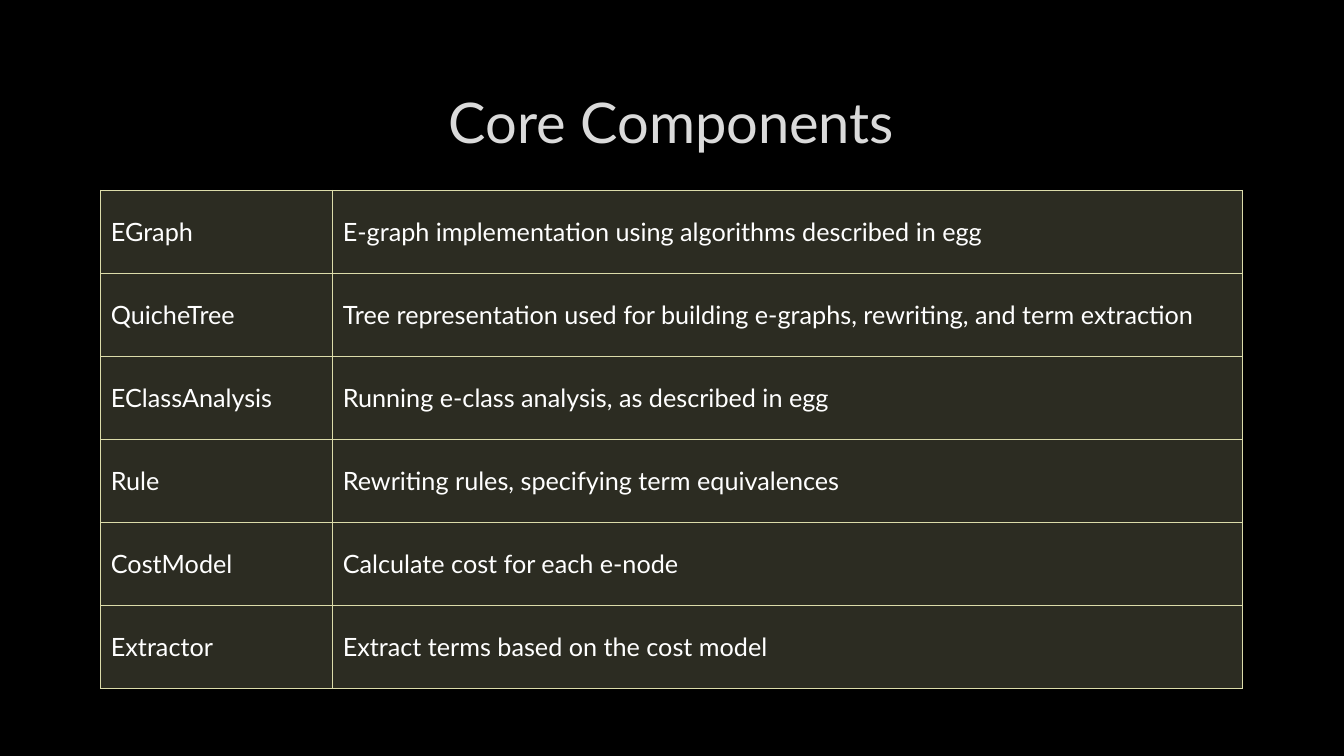
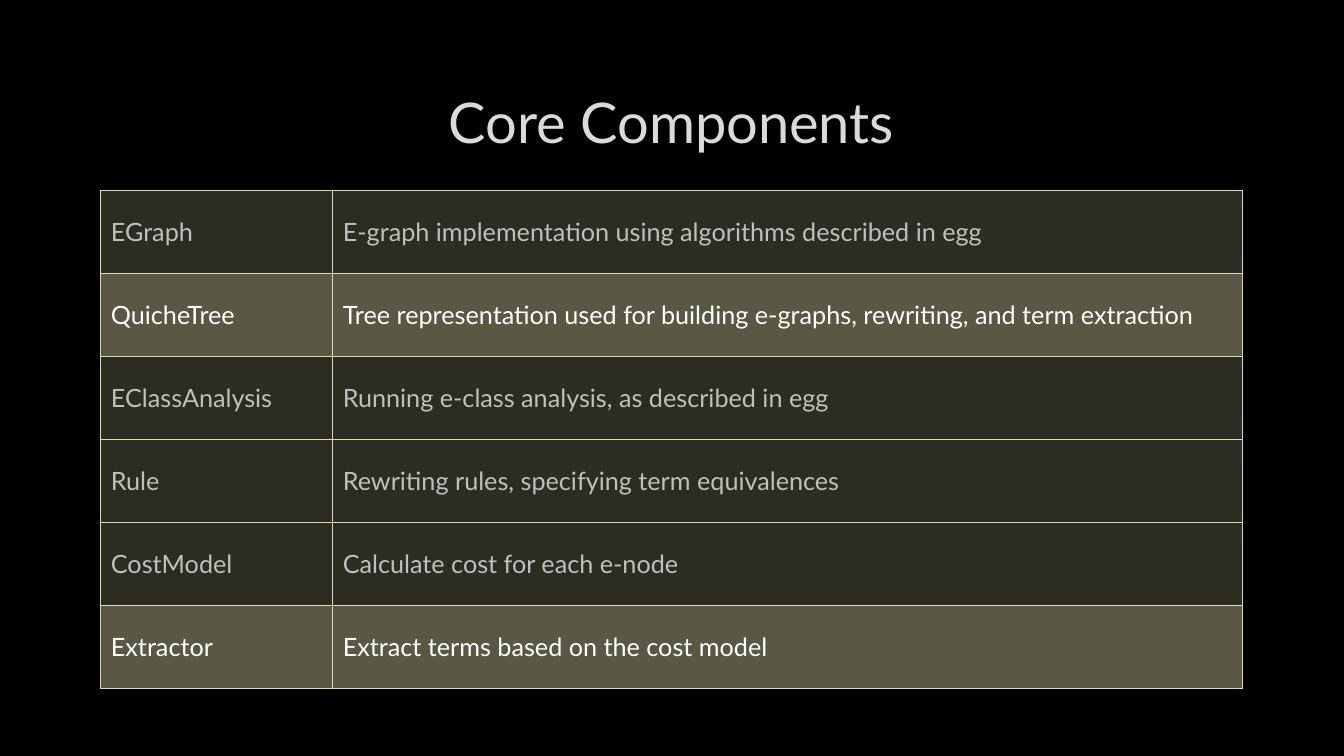
from dataclasses import dataclass

from lxml import etree
from pptx import Presentation
from pptx.dml.color import RGBColor
from pptx.enum.text import MSO_ANCHOR, MSO_AUTO_SIZE, PP_ALIGN
from pptx.oxml.ns import qn
from pptx.slide import Slide, SlideLayout
from pptx.table import _Cell
from pptx.text.text import TextFrame
from pptx.util import Inches, Pt

MIDDLE = MSO_ANCHOR.MIDDLE
CENTER = PP_ALIGN.CENTER
NO_AUTOFIT = MSO_AUTO_SIZE.NONE
TITLE_ONLY = 5
BORDER_TAGS = ("a:lnL", "a:lnR", "a:lnT", "a:lnB")


@dataclass(frozen=True)
class Theme:
    font: str = "Lato"
    background: str = "000000"
    title: str = "DADADA"
    title_outline: str = "404040"
    text: str = "FFFFFF"
    muted: str = "BFBFBF"
    accent: str = "DCDCAA"
    title_size: float = 40
    cell_size: float = 18
    border_width: float = 1
    outline_width: float = 0.75
    outline_opacity: int = 10
    row_opacity: int = 20
    highlight_opacity: int = 40


@dataclass(frozen=True)
class Component:
    name: str
    description: str


THEME = Theme()
LEFT, WIDTH = 1, 11.32
TITLE_TOP, TITLE_HEIGHT = 0.67, 1.06
TABLE_TOP, TABLE_HEIGHT = 1.89, 4.94
NAME_WIDTH = 2.3

COMPONENTS = (
    Component("EGraph", "E-graph implementation using algorithms described in egg"),
    Component(
        "QuicheTree",
        "Tree representation used for building e-graphs, rewriting, and term extraction",
    ),
    Component("EClassAnalysis", "Running e-class analysis, as described in egg"),
    Component("Rule", "Rewriting rules, specifying term equivalences"),
    Component("CostModel", "Calculate cost for each e-node"),
    Component("Extractor", "Extract terms based on the cost model"),
)
ALL_NAMES = frozenset(component.name for component in COMPONENTS)
HIGHLIGHTED_NAMES = frozenset({"QuicheTree", "Extractor"})


def set_opacity(color: etree._Element, percent: int) -> None:
    etree.SubElement(color, qn("a:alpha"), val=str(percent * 1000))


def make_line(tag: str, color: str, width: float) -> etree._Element:
    line = etree.Element(qn(tag), w=str(Pt(width)))
    fill = etree.SubElement(line, qn("a:solidFill"))
    etree.SubElement(fill, qn("a:srgbClr"), val=color)
    etree.SubElement(line, qn("a:prstDash"), val="solid")
    return line


def write_run(frame: TextFrame, text: str, size: float, color: str) -> etree._Element:
    span = frame.paragraphs[0].add_run()
    span.text = text
    span.font.name = THEME.font
    span.font.size = Pt(size)
    span.font.color.rgb = RGBColor.from_string(color)
    return span.font._element


def style_layout(layout: SlideLayout) -> None:
    background = layout.slide_master.background.fill
    background.solid()
    background.fore_color.rgb = RGBColor.from_string(THEME.background)
    title = layout.placeholders[0]
    title.left, title.top = Inches(LEFT), Inches(TITLE_TOP)
    title.width, title.height = Inches(WIDTH), Inches(TITLE_HEIGHT)
    title.text_frame.vertical_anchor = MIDDLE
    title.text_frame.auto_size = NO_AUTOFIT


def add_title(page: Slide, text: str) -> None:
    frame = page.shapes.title.text_frame
    frame.paragraphs[0].alignment = CENTER
    properties = write_run(frame, text, THEME.title_size, THEME.title)
    outline = make_line("a:ln", THEME.title_outline, THEME.outline_width)
    set_opacity(outline.find(".//" + qn("a:srgbClr")), THEME.outline_opacity)
    properties.insert(0, outline)


def fill_cell(cell: _Cell, text: str, color: str, opacity: int) -> None:
    cell.vertical_anchor = MIDDLE
    write_run(cell.text_frame, text, THEME.cell_size, color)
    cell.fill.solid()
    cell.fill.fore_color.rgb = RGBColor.from_string(THEME.accent)
    properties = cell._tc.tcPr
    set_opacity(properties.find(".//" + qn("a:srgbClr")), opacity)
    for position, tag in enumerate(BORDER_TAGS):
        properties.insert(position, make_line(tag, THEME.accent, THEME.border_width))


def add_component_table(
    page: Slide, bright_names: frozenset[str], bright_opacity: int
) -> None:
    table = page.shapes.add_table(
        len(COMPONENTS), 2,
        Inches(LEFT), Inches(TABLE_TOP), Inches(WIDTH), Inches(TABLE_HEIGHT),
    ).table
    table.first_row = False
    table.horz_banding = False
    for column, width in zip(table.columns, (NAME_WIDTH, WIDTH - NAME_WIDTH)):
        column.width = Inches(width)
    for row, component in zip(table.rows, COMPONENTS):
        bright = component.name in bright_names
        color = THEME.text if bright else THEME.muted
        opacity = bright_opacity if bright else THEME.row_opacity
        for cell, text in zip(row.cells, (component.name, component.description)):
            fill_cell(cell, text, color, opacity)


def main() -> None:
    deck = Presentation()
    deck.slide_width, deck.slide_height = Inches(13.33), Inches(7.5)
    layout = deck.slide_layouts[TITLE_ONLY]
    style_layout(layout)
    for bright_names, opacity in (
        (ALL_NAMES, THEME.row_opacity),
        (HIGHLIGHTED_NAMES, THEME.highlight_opacity),
    ):
        page = deck.slides.add_slide(layout)
        add_title(page, "Core Components")
        add_component_table(page, bright_names, opacity)
    deck.save("out.pptx")


if __name__ == "__main__":
    main()
